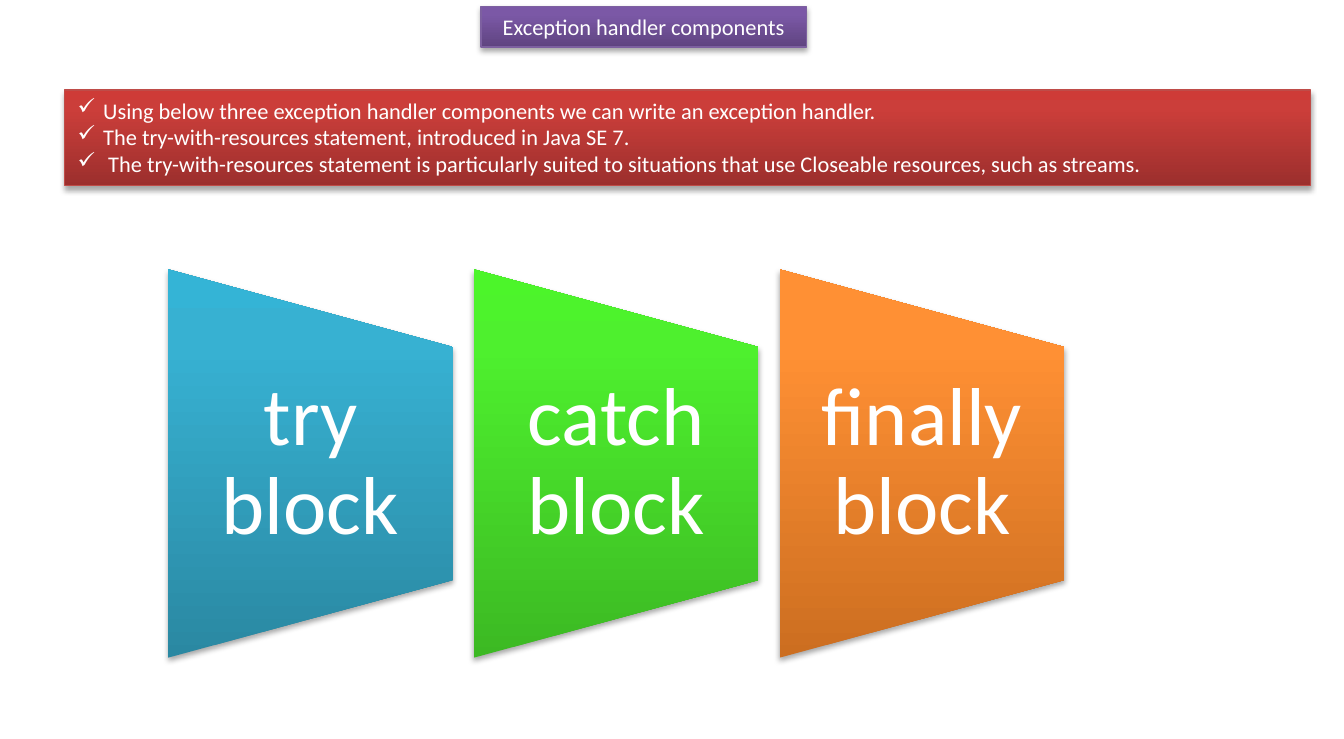
from dataclasses import dataclass
from copy import deepcopy

from lxml.etree import SubElement
from pptx import Presentation
from pptx.dml.color import RGBColor
from pptx.enum.shapes import MSO_SHAPE as Preset
from pptx.enum.text import MSO_ANCHOR as Anchor, MSO_AUTO_SIZE as AutoSize, PP_ALIGN as Align
from pptx.oxml.ns import qn
from pptx.util import Inches, Pt

WHITE = RGBColor(0xFF, 0xFF, 0xFF)
PURPLE_LINE = RGBColor(0x7D, 0x60, 0xA0)
RED_LINE = RGBColor(0xBF, 0x4C, 0x48)

# Gradients run from the dark bottom to the light top
STOP_POSITIONS = (0, 0.8, 1)
PURPLE = (RGBColor(0x5F, 0x44, 0x80), RGBColor(0x7B, 0x58, 0xA6), RGBColor(0x7C, 0x57, 0xA8))
RED = (RGBColor(0x9C, 0x2F, 0x2D), RGBColor(0xCB, 0x3E, 0x3A), RGBColor(0xCE, 0x3B, 0x37))
BLUE = (RGBColor(0x2A, 0x88, 0xA2), RGBColor(0x37, 0xB1, 0xD2), RGBColor(0x34, 0xB4, 0xD6))
GREEN = (RGBColor(0x3C, 0xB9, 0x23), RGBColor(0x4E, 0xF0, 0x2E), RGBColor(0x4C, 0xF5, 0x2A))
ORANGE = (RGBColor(0xCC, 0x6E, 0x20), RGBColor(0xFF, 0x90, 0x34), RGBColor(0xFF, 0x91, 0x36))


@dataclass
class Block:
    text: str
    colors: tuple[RGBColor, ...]


BLOCKS = [Block("try block", BLUE), Block("catch block", GREEN), Block("finally block", ORANGE)]
NOTES = [
    "Using below three exception handler components we can write an exception handler.",
    "The try-with-resources statement, introduced in Java SE 7.",
    " The try-with-resources statement is particularly suited to situations that use "
    "Closeable resources, such as streams.",
]


def style_shape(shape, colors: tuple[RGBColor, ...], line_color: RGBColor | None = None) -> None:
    """Give a shape its gradient, outline and soft shadow."""
    fill = shape.fill
    fill.gradient()
    fill.gradient_angle = 90
    properties = shape._element.spPr
    gradient = properties.find(qn("a:gradFill"))
    gradient.set("rotWithShape", "0")
    stop_list = gradient.find(qn("a:gsLst"))
    stop_list.append(deepcopy(stop_list[-1]))
    for stop, position, color in zip(fill.gradient_stops, STOP_POSITIONS, colors):
        stop.position = position
        stop.color.rgb = color

    if line_color is None:
        shape.line.fill.background()
    else:
        shape.line.color.rgb = line_color
        shape.line.width = Pt(0.75)

    shape.shadow.inherit = False
    effects = properties.find(qn("a:effectLst"))
    shadow = SubElement(effects, qn("a:outerShdw"), blurRad=str(Pt(3.1)), dist=str(Pt(1.8)),
                        dir="5400000", rotWithShape="0")
    color = SubElement(shadow, qn("a:srgbClr"), val="000000")
    SubElement(color, qn("a:alpha"), val="35000")


def style_paragraph(paragraph, size: float, align: Align) -> None:
    paragraph.alignment = align
    paragraph.font.name = "Calibri"
    paragraph.font.size = Pt(size)
    paragraph.font.color.rgb = WHITE


def add_check_mark(paragraph) -> None:
    properties = paragraph._p.get_or_add_pPr()
    properties.set("marL", str(Inches(0.19)))
    properties.set("indent", str(-Inches(0.19)))
    SubElement(properties, qn("a:buChar"), char="✓")


def add_title(slide) -> None:
    title = slide.shapes.title
    title.left, title.top = Inches(3.58), Inches(0.05)
    title.width, title.height = Inches(2.42), Inches(0.3)
    style_shape(title, PURPLE, PURPLE_LINE)
    frame = title.text_frame
    frame.text = "Exception handler components"
    frame.auto_size = AutoSize.NONE
    frame.vertical_anchor = Anchor.MIDDLE
    style_paragraph(frame.paragraphs[0], 12, Align.CENTER)


def add_block(slide, block: Block, center_x: float) -> None:
    """Draw a trapezoid turned on its side, with upright text over it."""
    center_y, length, breadth, text_height = 3.45, 2.89, 2.12, 1.73
    shape = slide.shapes.add_shape(
        Preset.FLOWCHART_MANUAL_OPERATION,
        Inches(center_x - length / 2), Inches(center_y - breadth / 2),
        Inches(length), Inches(breadth))
    shape.rotation = 270
    style_shape(shape, block.colors)

    label = slide.shapes.add_textbox(
        Inches(center_x - breadth / 2), Inches(center_y - text_height / 2),
        Inches(breadth), Inches(text_height))
    frame = label.text_frame
    frame.word_wrap = True
    frame.vertical_anchor = Anchor.MIDDLE
    frame.margin_left = frame.margin_right = Inches(0.31)
    frame.margin_top = frame.margin_bottom = 0
    frame.text = block.text
    paragraph = frame.paragraphs[0]
    paragraph.line_spacing = 0.9
    style_paragraph(paragraph, 44, Align.CENTER)


def add_notes_panel(slide) -> None:
    panel = slide.shapes.add_shape(Preset.RECTANGLE, Inches(0.48), Inches(0.67),
                                   Inches(9.27), Inches(0.71))
    style_shape(panel, RED, RED_LINE)
    frame = panel.text_frame
    frame.word_wrap = True
    frame.vertical_anchor = Anchor.TOP
    frame.text = "\n".join(NOTES)
    for paragraph in frame.paragraphs:
        add_check_mark(paragraph)
        style_paragraph(paragraph, 12, Align.LEFT)


def main() -> None:
    presentation = Presentation()
    presentation.slide_width, presentation.slide_height = Inches(10), Inches(5.5)
    slide = presentation.slides.add_slide(presentation.slide_layouts[5])

    add_title(slide)
    for index, block in enumerate(BLOCKS):
        add_block(slide, block, 2.31 + 2.275 * index)
    add_notes_panel(slide)

    presentation.save("out.pptx")


if __name__ == "__main__":
    main()
